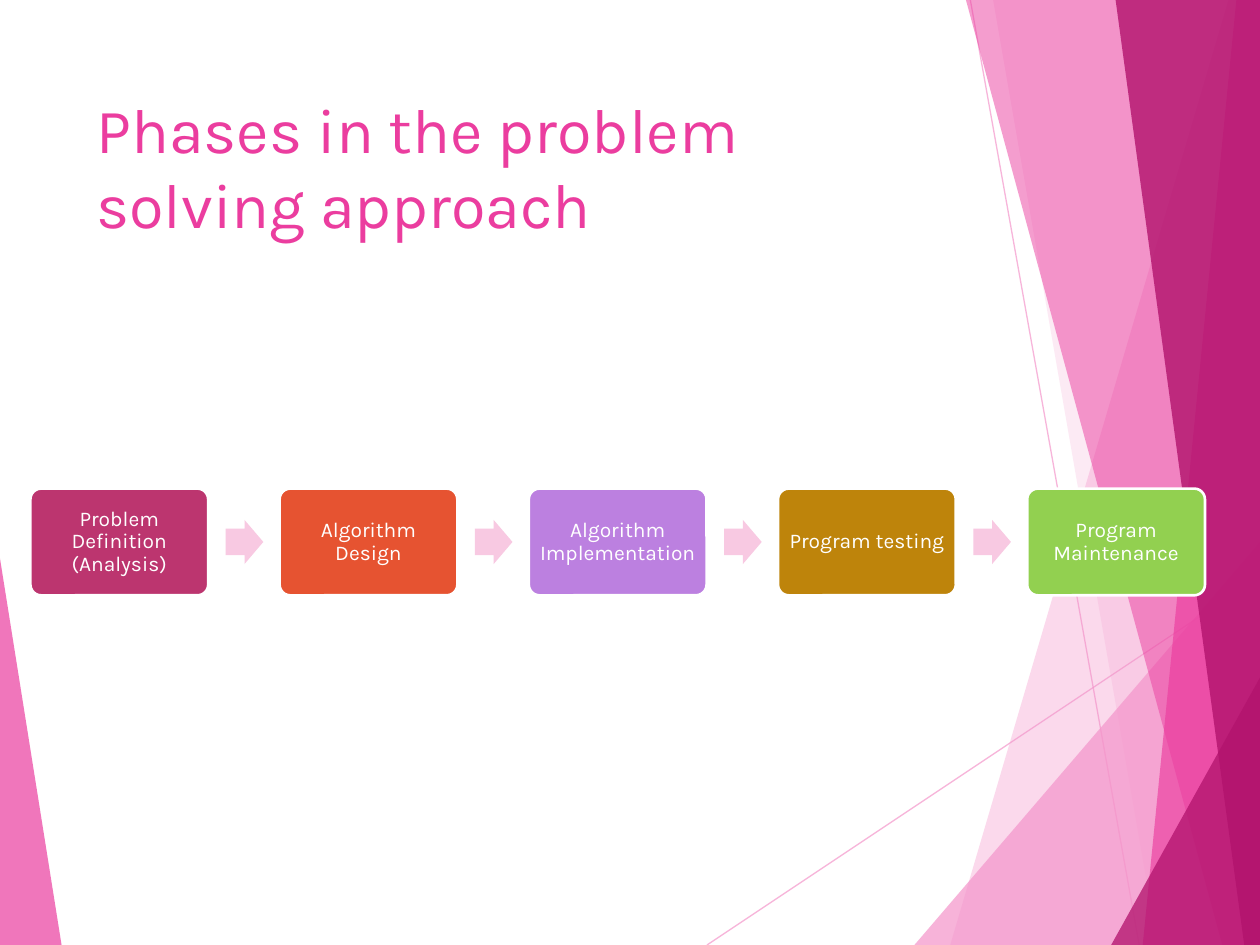
from dataclasses import dataclass

from lxml.etree import SubElement
from pptx import Presentation
from pptx.dml.color import RGBColor
from pptx.enum.shapes import MSO_CONNECTOR as Connector, MSO_SHAPE as Preset
from pptx.enum.text import MSO_ANCHOR as Anchor, PP_ALIGN as Align
from pptx.oxml.ns import qn
from pptx.util import Pt


@dataclass(frozen=True)
class Theme:
    font: str = "Karla"
    title_size: float = 36
    label_size: float = 12
    pale: str = "F496CB"
    pink: str = "EB3D9F"
    dark: str = "B2136D"
    arrow: str = "F8C9E2"
    white: str = "FFFFFF"
    phases: tuple = ("BC356F", "E65331", "BC80E0", "BE840B", "92D050")


def write_text(frame, text, *, size, color, font, align=Align.LEFT,
               anchor=Anchor.TOP, margins=(7.2, 3.6), spacing=1.0):
    frame.word_wrap = True
    frame.vertical_anchor = anchor
    frame.margin_left = frame.margin_right = Pt(margins[0])
    frame.margin_top = frame.margin_bottom = Pt(margins[1])
    para = frame.paragraphs[0]
    para.alignment = align
    para.line_spacing = spacing
    span = para.add_run()
    span.text = text
    span.font.name = font
    span.font.size = Pt(size)
    span.font.color.rgb = RGBColor.from_string(color)


def paint(fill, color, opacity=100):
    fill.solid()
    fill.fore_color.rgb = RGBColor.from_string(color)
    if opacity < 100:
        tint = fill._xPr.find(qn("a:solidFill"))[0]
        SubElement(tint, qn("a:alpha"), val=str(opacity * 1000))


class SlideBuilder:
    def __init__(self, page, theme):
        self.page = page
        self.theme = theme

    def line(self, start, end, color, opacity):
        line = self.page.shapes.add_connector(
            Connector.STRAIGHT, *map(Pt, (*start, *end)))
        line.line.width = Pt(0.75)
        paint(line.line.fill, color, opacity)
        SubElement(line._element.spPr, qn("a:effectLst"))

    def polygon(self, points, color, opacity):
        corners = [(Pt(x), Pt(y)) for x, y in points]
        outline = self.page.shapes.build_freeform(*corners[0], scale=1.0)
        outline.add_line_segments(corners[1:], close=True)
        self.finish(outline.convert_to_shape(), color, opacity)

    def finish(self, shape, color, opacity=100, border=None):
        shape.shadow.inherit = False
        paint(shape.fill, color, opacity)
        if border:
            paint(shape.line.fill, border)
            shape.line.width = Pt(1.5)
        else:
            shape.line.fill.background()

    def title(self, text, left, top, width, height):
        box = self.page.shapes.add_textbox(*map(Pt, (left, top, width, height)))
        write_text(box.text_frame, text, size=self.theme.title_size,
                   color=self.theme.pink, font=self.theme.font)

    def phase(self, text, color, left, top, width, height):
        box = self.page.shapes.add_shape(
            Preset.ROUNDED_RECTANGLE, *map(Pt, (left, top, width, height)))
        box.adjustments[0] = 0.1
        self.finish(box, color, border=self.theme.white)
        write_text(box.text_frame, text, size=self.theme.label_size,
                   color=self.theme.white, font=self.theme.font,
                   align=Align.CENTER, anchor=Anchor.MIDDLE,
                   margins=(3.6, 3.6), spacing=0.9)

    def arrow(self, left, top, width, height):
        arrow = self.page.shapes.add_shape(
            Preset.RIGHT_ARROW, *map(Pt, (left, top, width, height)))
        arrow.adjustments[0] = 0.6
        arrow.adjustments[1] = 0.5
        self.finish(arrow, self.theme.arrow)


def main():
    theme = Theme()
    deck = Presentation()
    deck.slide_width, deck.slide_height = Pt(720), Pt(540)
    page = deck.slides.add_slide(deck.slide_layouts[6])
    builder = SlideBuilder(page, theme)

    # Background rays and facets, from back to front
    builder.line((404, 540), (720.5, 329), theme.pale, 70)
    builder.line((554.5, 0), (651, 540), theme.pale, 70)
    right = 721
    facets = [
        ([(702, 0), (543, 540), (right, 540), (right, 0)], theme.pale, 36),
        ([(567.5, 0), (661.5, 540), (right, 540), (right, 0)], theme.pale, 20),
        ([(522.5, 540), (right, 308.5), (right, 540)], theme.pale, 72),
        ([(552, 0), (698.5, 540), (right, 540), (right, 0)], theme.pink, 50),
        ([(706.5, 0), (653, 540), (right, 540), (right, 0)], theme.pink, 66),
        ([(637.5, 0), (711, 540), (right, 540), (right, 0)], theme.dark, 80),
        ([(635, 540), (right, 385.5), (right, 540)], theme.dark, 76),
        ([(-0.5, 316), (35.2, 540), (-0.5, 540)], theme.pink, 70),
    ]
    for points, color, opacity in facets:
        builder.polygon(points, color, opacity)

    # Title
    builder.title("Phases in the problem solving approach", 48, 48, 500, 104)

    # Row of phases joined by arrows
    labels = ["Problem Definition (Analysis)", "Algorithm Design",
              "Algorithm Implementation", "Program testing",
              "Program Maintenance"]
    first, pitch, middle = 17.4, 142.4, 309.7
    box_width, box_height = 101.6, 61
    arrow_width, arrow_height, arrow_offset = 21.5, 25.2, 111.6
    for index, (label, color) in enumerate(zip(labels, theme.phases)):
        left = first + index * pitch
        builder.phase(label, color, left, middle - box_height / 2,
                      box_width, box_height)
        if index < len(labels) - 1:
            builder.arrow(left + arrow_offset, middle - arrow_height / 2,
                          arrow_width, arrow_height)

    deck.save("out.pptx")


if __name__ == "__main__":
    main()
